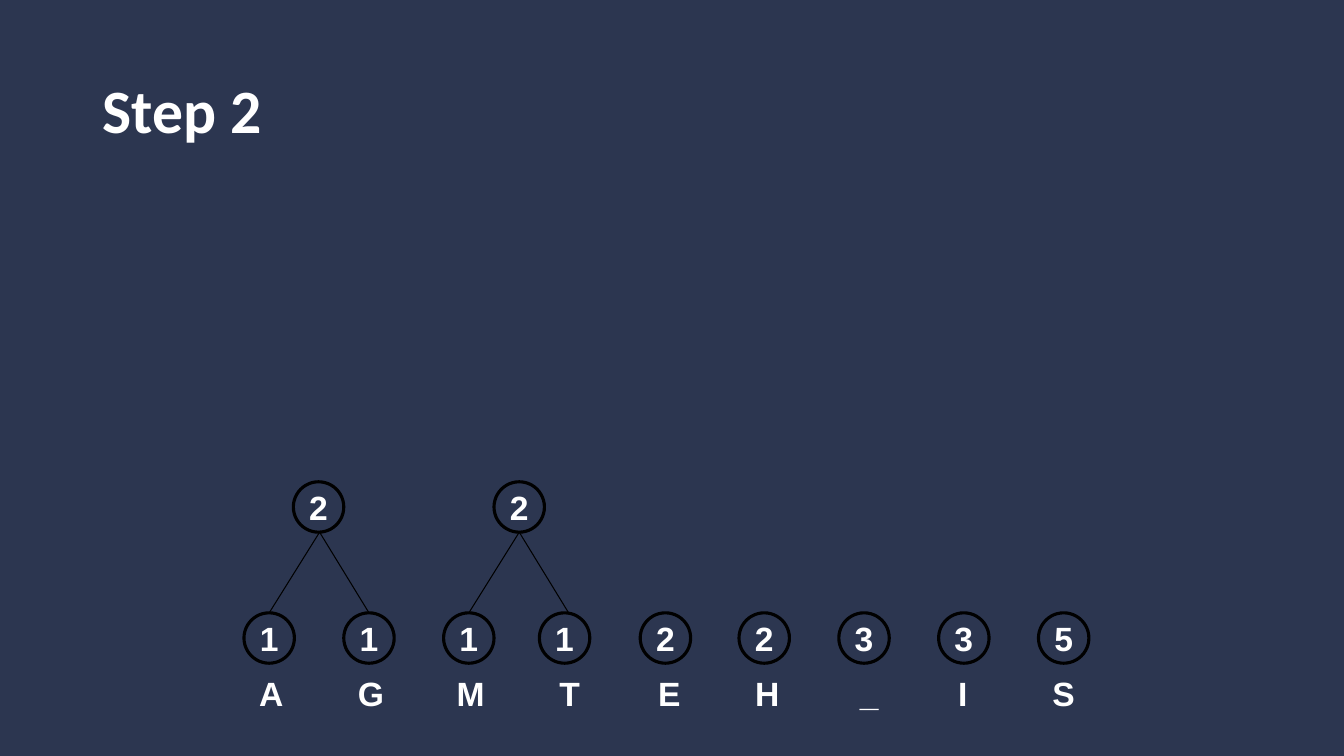
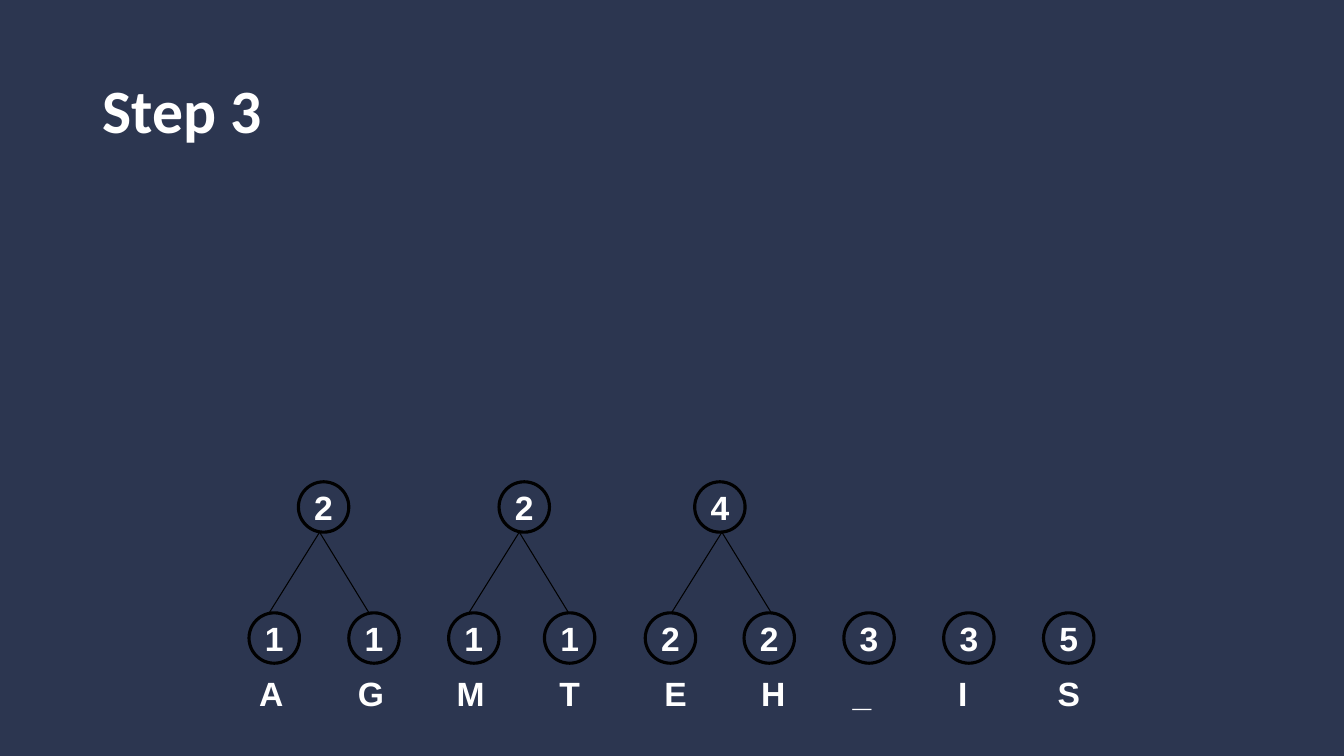
import pptx
import pptx.dml.color
import pptx.enum.shapes
import pptx.enum.text
import pptx.util
from lxml import etree

Inches = pptx.util.Inches
Align = pptx.enum.text.PP_ALIGN
Anchor = pptx.enum.text.MSO_ANCHOR

# Content: symbol, frequency, left of circle, centre of letter
LEAVES = [
    ("A", 1, 2.42, 2.69),
    ("G", 1, 3.41, 3.68),
    ("M", 1, 4.40, 4.66),
    ("T", 1, 5.35, 5.65),
    ("E", 2, 6.35, 6.64),
    ("H", 2, 7.33, 7.61),
    ("_", 3, 8.32, 8.62),
    ("I", 3, 9.31, 9.55),
    ("S", 5, 10.30, 10.55),
]
# Merged nodes: weight, left of circle, point where the branches meet
PARENTS = [(2, 2.91, 3.17), (2, 4.90, 5.15), (4, 6.84, 7.16)]
STEPS = [
    {"title": "Step 2", "merged": 2, "node_shift": 0, "letter_shift": {}},
    {"title": "Step 3", "merged": 3, "node_shift": 0.05,
     "letter_shift": {"E": 0.06, "H": 0.06, "_": -0.07, "S": 0.05}},
]

# Shared look
THEME = {
    "background": "2C3650",
    "line": "000000",
    "circle_line": 2.25,
    "branch_line": 0.75,
    "title": {"name": "Calibri", "size": 44, "bold": True, "color": "FFFFFF"},
    "label": {"name": "Arial", "size": 24, "bold": True, "color": "FFFFFF"},
}

# Geometry in inches
SLIDE_SIZE = (13.33, 7.5)
TITLE_BOX = {"left": 0.92, "top": 0.4, "width": 11.5, "height": 1.45}
DIAMETER = 0.5
LEAF_TOP, PARENT_TOP, LETTER_TOP = 6.08, 4.78, 6.63
LETTER_WIDTH, LETTER_HEIGHT = 0.46, 0.5
BRANCH_REACH = (-0.5, 0.49)


def rgb(value):
    return pptx.dml.color.RGBColor.from_string(value)


def format_font(font, style):
    values = {"name": style["name"], "bold": style["bold"],
              "size": pptx.util.Pt(style["size"])}
    for name, value in values.items():
        setattr(font, name, value)
    font.color.rgb = rgb(style["color"])


def format_line(shape, width):
    shape.line.color.rgb = rgb(THEME["line"])
    shape.line.width = pptx.util.Pt(width)


def write_label(shape, text, anchor):
    frame = shape.text_frame
    frame.word_wrap = False
    frame.vertical_anchor = anchor
    paragraph = frame.paragraphs[0]
    paragraph.alignment = Align.CENTER
    run = paragraph.add_run()
    run.text = str(text)
    format_font(run.font, THEME["label"])


def add_node(slide, weight, left, top):
    circle = slide.shapes.add_shape(
        pptx.enum.shapes.MSO_SHAPE.FLOWCHART_CONNECTOR,
        Inches(left), Inches(top), Inches(DIAMETER), Inches(DIAMETER))
    circle.shadow.inherit = False
    circle.fill.background()
    format_line(circle, THEME["circle_line"])
    write_label(circle, weight, Anchor.MIDDLE)


def add_letter(slide, letter, centre):
    box = slide.shapes.add_textbox(
        Inches(centre - LETTER_WIDTH / 2), Inches(LETTER_TOP),
        Inches(LETTER_WIDTH), Inches(LETTER_HEIGHT))
    write_label(box, letter, Anchor.TOP)


def add_branches(slide, apex):
    for reach in BRANCH_REACH:
        branch = slide.shapes.add_connector(
            pptx.enum.shapes.MSO_CONNECTOR.STRAIGHT,
            Inches(apex + reach), Inches(LEAF_TOP),
            Inches(apex), Inches(PARENT_TOP + DIAMETER))
        format_line(branch, THEME["branch_line"])
        etree.SubElement(branch._element.spPr,
                         pptx.oxml.ns.qn("a:effectLst"))


def prepare_layout(presentation):
    # Background and title place shared by all slides
    presentation.slide_width, presentation.slide_height = map(Inches, SLIDE_SIZE)
    fill = presentation.slide_master.background.fill
    fill.solid()
    fill.fore_color.rgb = rgb(THEME["background"])
    layout = presentation.slide_layouts.get_by_name("Title Only")
    title = layout.placeholders[0]
    for name, value in TITLE_BOX.items():
        setattr(title, name, Inches(value))
    return layout


def build_step(presentation, layout, step):
    slide = presentation.slides.add_slide(layout)
    title = slide.shapes.title
    title.text_frame.text = step["title"]
    title.text_frame.vertical_anchor = Anchor.MIDDLE
    paragraph = title.text_frame.paragraphs[0]
    paragraph.alignment = Align.LEFT
    paragraph.line_spacing = 0.9
    format_font(paragraph.runs[0].font, THEME["title"])

    # Merged nodes with their branches
    shift = step["node_shift"]
    for weight, left, apex in PARENTS[:step["merged"]]:
        add_branches(slide, apex)
        add_node(slide, weight, left + shift, PARENT_TOP)

    # Leaves with their letters
    for letter, weight, left, centre in LEAVES:
        add_node(slide, weight, left + shift, LEAF_TOP)
        add_letter(slide, letter, centre + step["letter_shift"].get(letter, 0))


def main():
    presentation = pptx.Presentation()
    layout = prepare_layout(presentation)
    for step in STEPS:
        build_step(presentation, layout, step)
    presentation.save("out.pptx")


if __name__ == "__main__":
    main()
